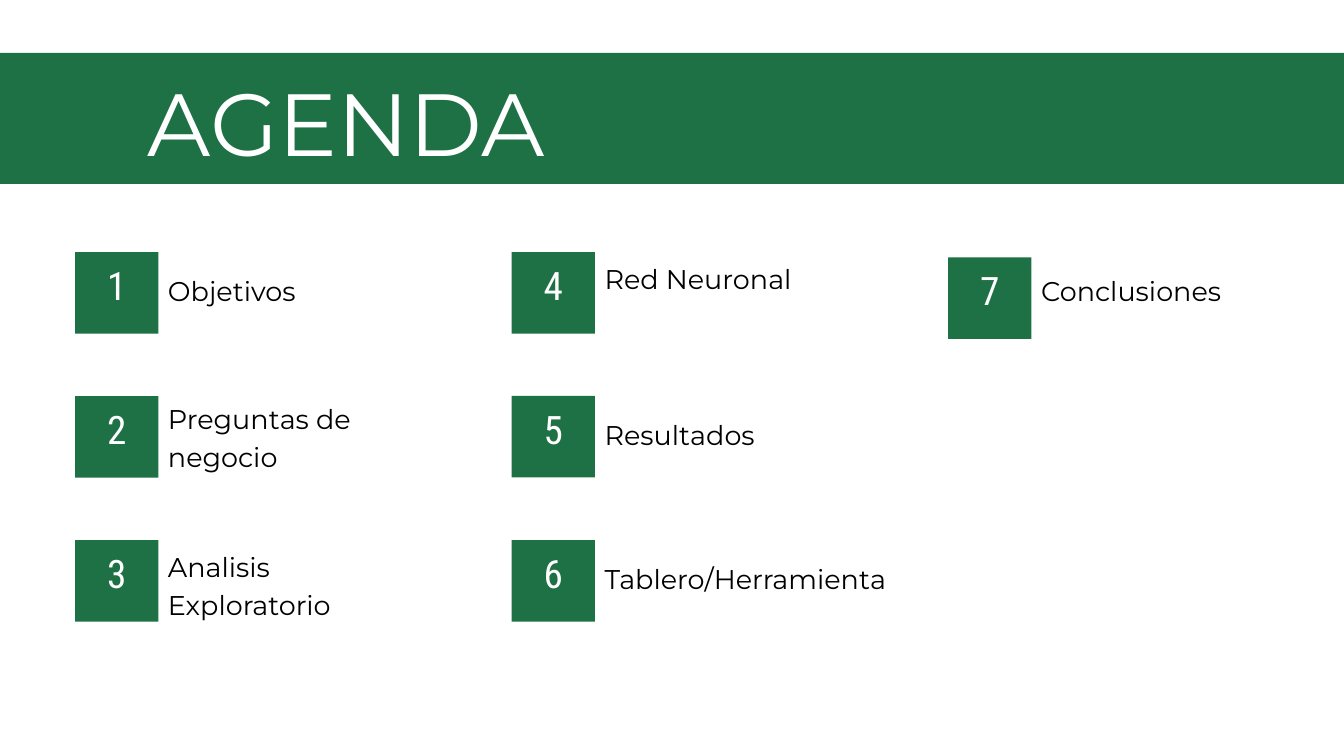
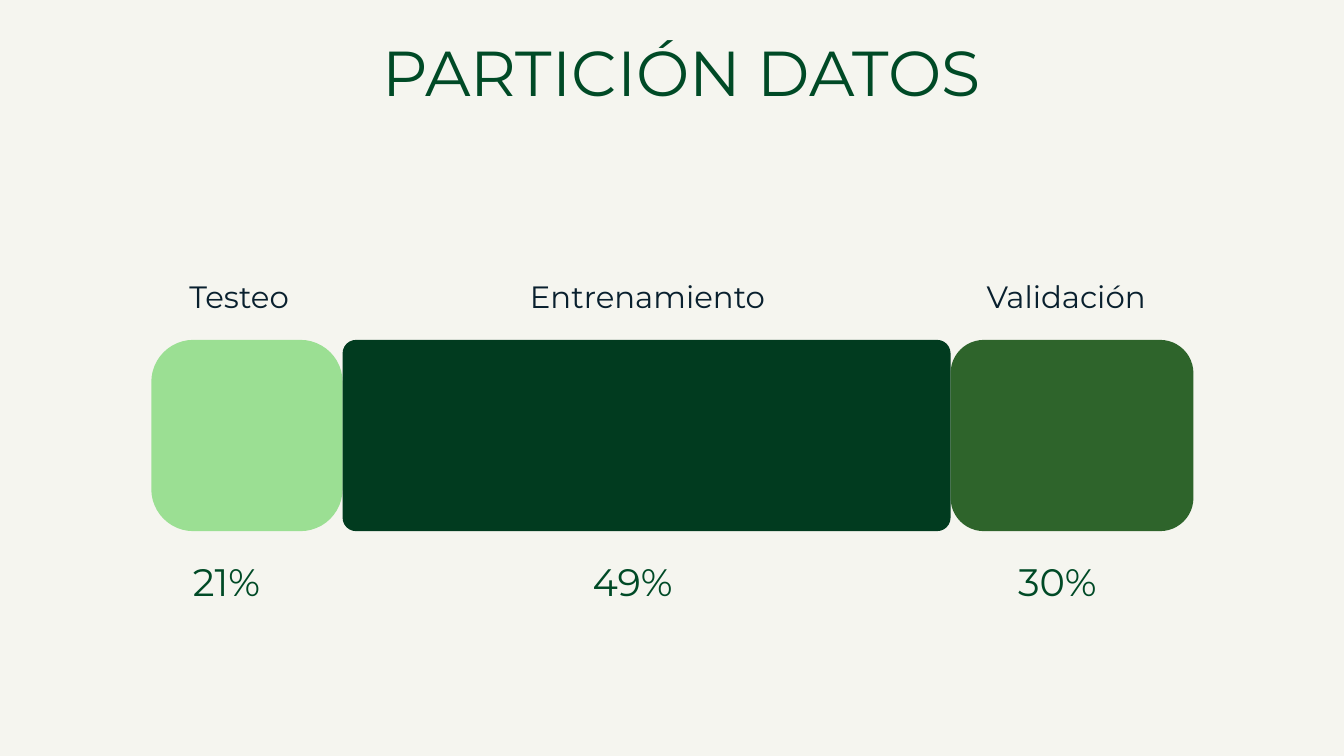
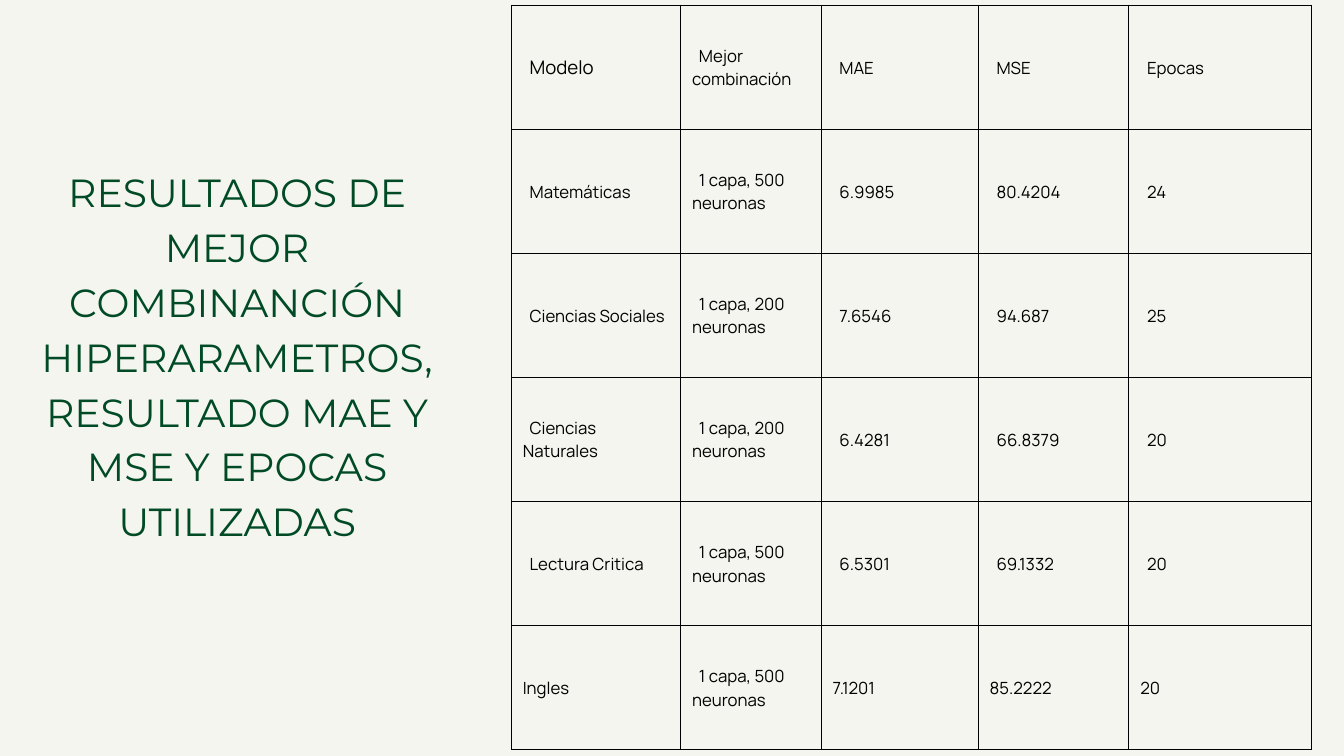
from lxml.etree import SubElement
from pptx import Presentation
from pptx.dml.color import RGBColor
from pptx.enum.shapes import MSO_SHAPE
from pptx.enum.text import MSO_ANCHOR, MSO_AUTO_SIZE, PP_ALIGN
from pptx.oxml.ns import qn
from pptx.util import Cm, Pt

COLORS = {
    "white": "FFFFFF", "black": "000000", "cream": "F5F5EF",
    "green": "1D7144", "title": "004A26", "navy": "09202E",
    "light": "9BDF93", "dark": "013B1F", "olive": "2E642B",
}
LINE_HEIGHT = 1.4


def write_text(frame, text, size, color, font="Montserrat", align=PP_ALIGN.LEFT,
               anchor=MSO_ANCHOR.TOP, margins=(0, 0, 0, 0)):
    frame.margin_left, frame.margin_top, frame.margin_right, frame.margin_bottom = map(Cm, margins)
    frame.word_wrap = True
    frame.auto_size = MSO_AUTO_SIZE.NONE
    frame.vertical_anchor = anchor
    frame.text = text
    paragraph = frame.paragraphs[0]
    paragraph.alignment = align
    paragraph.line_spacing = Pt(size * LINE_HEIGHT)
    paragraph.font.name = font
    paragraph.font.size = Pt(size)
    paragraph.font.color.rgb = RGBColor.from_string(COLORS[color])


def add_block(slide, kind, box, color):
    block = slide.shapes.add_shape(kind, *map(Cm, box))
    block.shadow.inherit = False
    block.fill.solid()
    block.fill.fore_color.rgb = RGBColor.from_string(COLORS[color])
    block.line.fill.background()
    return block


presentation = Presentation()
presentation.slide_width = Cm(50.8)
presentation.slide_height = Cm(28.58)
master_fill = presentation.slide_master.background.fill
master_fill.solid()
master_fill.fore_color.rgb = RGBColor.from_string(COLORS["cream"])

titles = [
    ("AGENDA", (5.59, 1.9, 21.51, 4.65), 94.5, "white", PP_ALIGN.LEFT),
    ("PARTICIÓN DATOS", (0.74, 0.76, 50.06, 3.33), 68, "title", PP_ALIGN.CENTER),
    ("RESULTADOS DE MEJOR COMBINANCIÓN HIPERARAMETROS, RESULTADO MAE Y MSE Y EPOCAS UTILIZADAS",
     (1.3, 6.07, 15.32, 14.71), 42, "title", PP_ALIGN.CENTER),
]
for text, box, size, color, align in titles:
    slide = presentation.slides.add_slide(presentation.slide_layouts[5])
    title = slide.shapes.title
    title.left, title.top, title.width, title.height = map(Cm, box)
    write_text(title.text_frame, text, size, color, align=align)
agenda, partition, results = presentation.slides

# Agenda
agenda.background.fill.solid()
agenda.background.fill.fore_color.rgb = RGBColor.from_string(COLORS["white"])
band = add_block(agenda, MSO_SHAPE.RECTANGLE, (-0.5, 2, 53.14, 4.95), "green")
agenda.shapes.title.element.addprevious(band.element)

topics = [
    ("Objetivos", 9.53, 10.19, 8.59),
    ("Preguntas de negocio", 14.98, 15.01, 8.59),
    ("Analisis Exploratorio", 20.42, 20.62, 8.59),
    ("Red Neuronal", 9.53, 9.73, 8.59),
    ("Resultados", 14.97, 15.62, 8.59),
    ("Tablero/Herramienta", 20.42, 21.06, 11.28),
    ("Conclusiones", 9.73, 10.19, 8.59),
]
for index, (topic, square_top, label_top, label_width) in enumerate(topics):
    left = 2.84 + index // 3 * 16.5
    square = add_block(agenda, MSO_SHAPE.RECTANGLE, (left, square_top, 3.15, 3.08), "green")
    write_text(square.text_frame, str(index + 1), 42, "white", "Roboto Condensed",
               PP_ALIGN.CENTER, MSO_ANCHOR.MIDDLE, (0.15, 0, 0.15, 0.89))
    label = agenda.shapes.add_textbox(
        Cm(left + 3.51), Cm(label_top), Cm(label_width), Cm(2.9 if index < 3 else 1.42))
    write_text(label.text_frame, topic, 29, "black")

# Data partition
parts = [
    ("Testeo", "21%", 7.23, 0.22, "light", 7.16, 4.19, 7.29),
    ("Entrenamiento", "49%", 22.98, 0.07, "dark", 20.03, 14.94, 22.4),
    ("Validación", "30%", 9.18, 0.174, "olive", 37.29, 6.43, 38.48),
]
bar_left = 5.72
for name, share, bar_width, rounding, color, name_left, name_width, share_left in parts:
    bar = add_block(partition, MSO_SHAPE.ROUNDED_RECTANGLE, (bar_left, 12.85, bar_width, 7.23), color)
    bar.adjustments[0] = rounding
    bar_left += bar_width
    name_box = partition.shapes.add_textbox(Cm(name_left), Cm(10.26), Cm(name_width), Cm(1.63))
    write_text(name_box.text_frame, name, 33, "navy")
    share_box = partition.shapes.add_textbox(Cm(share_left), Cm(20.8), Cm(4.06), Cm(2))
    write_text(share_box.text_frame, share, 41, "title")

# Results table
rows = [
    ("Modelo", "Mejor combinación", "MAE", "MSE", "Epocas"),
    ("Matemáticas", "1 capa, 500 neuronas", "6.9985", "80.4204", "24"),
    ("Ciencias Sociales", "1 capa, 200 neuronas", "7.6546", "94.687", "25"),
    ("Ciencias Naturales", "1 capa, 200 neuronas", "6.4281", "66.8379", "20"),
    ("Lectura Critica", "1 capa, 500 neuronas", "6.5301", "69.1332", "20"),
    ("Ingles", "1 capa, 500 neuronas", "7.1201", "85.2222", "20"),
]
column_widths = [6.4, 5.31, 5.94, 5.69, 6.91]
table = results.shapes.add_table(
    len(rows), len(column_widths), Cm(19.33), Cm(0.2), Cm(sum(column_widths)), Cm(28.14)).table
table.first_row = False
table.horz_banding = False
for column, width in zip(table.columns, column_widths):
    column.width = Cm(width)
for row_index, values in enumerate(rows):
    table.rows[row_index].height = Cm(4.69)
    for column_index, value in enumerate(values):
        cell = table.cell(row_index, column_index)
        size = 20 if row_index == column_index == 0 else 18
        write_text(cell.text_frame, value, size, "black", "Manrope")
        cell.vertical_anchor = MSO_ANCHOR.MIDDLE
        cell.margin_left = cell.margin_right = cell.margin_top = cell.margin_bottom = Cm(0.43)
        if row_index < len(rows) - 1 or column_index == 1:
            properties = cell.text_frame.paragraphs[0]._p.get_or_add_pPr()
            properties.set("indent", str(Cm(0.26)))
        cell_properties = cell._tc.get_or_add_tcPr()
        for side in ("a:lnL", "a:lnR", "a:lnT", "a:lnB"):
            border = SubElement(cell_properties, qn(side), w=str(Pt(1.5)))
            border_fill = SubElement(border, qn("a:solidFill"))
            SubElement(border_fill, qn("a:srgbClr"), val=COLORS["black"])
        cell.fill.background()

presentation.save("out.pptx")
